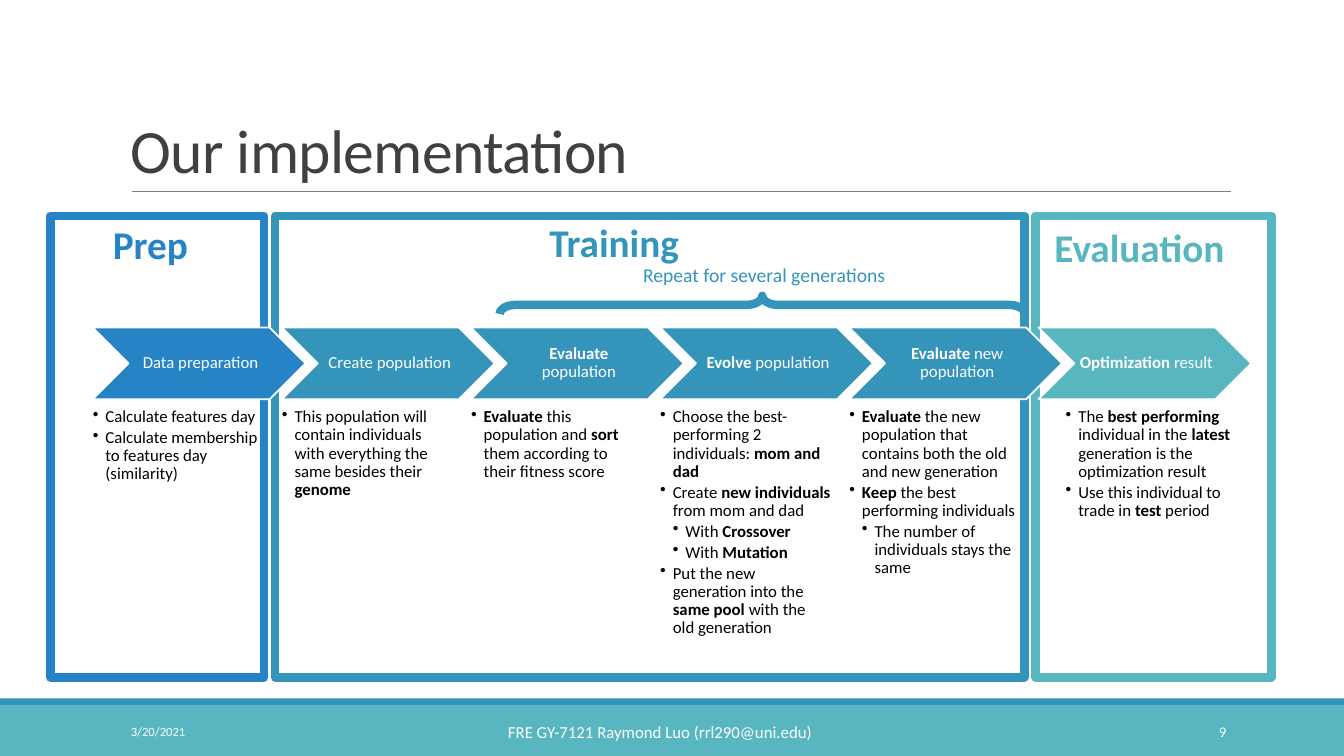
from lxml import etree
from pptx import Presentation
from pptx.dml.color import RGBColor
from pptx.enum.shapes import MSO_CONNECTOR, MSO_SHAPE
from pptx.enum.text import MSO_ANCHOR, MSO_AUTO_SIZE, PP_ALIGN
from pptx.oxml.ns import qn
from pptx.util import Inches, Pt

FONT = "Calibri"
BLUE, TEAL, AQUA = "2683C6", "3494BA", "58B6C0"
WHITE, BLACK, DARK, GRAY = "FFFFFF", "000000", "404040", "808080"

# Frame: left, width, color, heading, heading left, heading top, heading width
PHASES = [
    (0.5, 2.12, BLUE, "Prep", 1.02, 2.14, 0.95),
    (10.27, 2.34, AQUA, "Evaluation", 10.36, 2.17, 2.06),
    (2.73, 7.43, TEAL, "Training", 5.35, 2.12, 1.67),
]

# Step: color, label, bullets as (level, text); ** marks bold text
STEPS = [
    (BLUE, "Data preparation", [
        (1, "Calculate features day"),
        (1, "Calculate membership to features day (similarity)"),
    ]),
    (TEAL, "Create population", [
        (1, "This population will contain individuals with everything "
            "the same besides their **genome**"),
    ]),
    (TEAL, "**Evaluate** population", [
        (1, "**Evaluate** this population and **sort** them according "
            "to their fitness score"),
    ]),
    (TEAL, "**Evolve** population", [
        (1, "Choose the best-performing 2 individuals: **mom and dad**"),
        (1, "Create **new individuals** from mom and dad"),
        (2, "With **Crossover**"),
        (2, "With **Mutation**"),
        (1, "Put the new generation into the **same pool **with the old generation"),
    ]),
    (TEAL, "**Evaluate** new population", [
        (1, "**Evaluate** the new population that contains both the old "
            "and new generation"),
        (1, "**Keep** the best performing individuals"),
        (2, "The number of individuals stays the same"),
    ]),
    (AQUA, "**Optimization** result", [
        (1, "The **best performing **individual in the **latest** "
            "generation is the optimization result"),
        (1, "Use this individual to trade in **test** period"),
    ]),
]
STEP_LEFT, STEP_PITCH = 0.92, 1.876
LAST_DETAILS_LEFT = 10.57


def rgb(color):
    return RGBColor.from_string(color)


def add_shape(slide, kind, left, top, width, height, fill=None, line=None, line_width=1):
    shape = slide.shapes.add_shape(
        kind, Inches(left), Inches(top), Inches(width), Inches(height))
    shape.shadow.inherit = False
    if fill:
        shape.fill.solid()
        shape.fill.fore_color.rgb = rgb(fill)
    else:
        shape.fill.background()
    if line:
        shape.line.color.rgb = rgb(line)
        shape.line.width = Pt(line_width)
    else:
        shape.line.fill.background()
    return shape


def add_rule(slide, left, right, top):
    rule = slide.shapes.add_connector(
        MSO_CONNECTOR.STRAIGHT, Inches(left), Inches(top), Inches(right), Inches(top))
    rule.line.color.rgb = rgb(GRAY)
    rule.line.width = Pt(0.5)
    etree.SubElement(rule._element.spPr, qn("a:effectLst"))


def set_insets(frame, left, top, right, bottom):
    frame.margin_left, frame.margin_top = Inches(left), Inches(top)
    frame.margin_right, frame.margin_bottom = Inches(right), Inches(bottom)


def write(paragraph, text, size, color, bold=None, align=PP_ALIGN.LEFT, spacing=None):
    """Fill a paragraph; text between ** marks becomes bold."""
    paragraph.alignment = align
    paragraph.line_spacing = spacing
    font = paragraph.font
    font.name, font.size, font.bold = FONT, Pt(size), bold
    font.color.rgb = rgb(color)
    for index, part in enumerate(text.split("**")):
        if part:
            run = paragraph.add_run()
            run.text = part
            if index % 2:
                run.font.bold = True


def add_text(slide, text, left, top, width, height, size, color,
             anchor=MSO_ANCHOR.TOP, wrap=True, **style):
    """Add a one-paragraph text box; an unwrapped one fits its text."""
    box = slide.shapes.add_textbox(
        Inches(left), Inches(top), Inches(width), Inches(height))
    frame = box.text_frame
    frame.word_wrap = wrap
    frame.vertical_anchor = anchor
    if not wrap:
        frame.auto_size = MSO_AUTO_SIZE.SHAPE_TO_FIT_TEXT
    write(frame.paragraphs[0], text, size, color, **style)
    return box


def set_bullet(paragraph, level):
    properties = paragraph._p.get_or_add_pPr()
    properties.set("marL", str(Inches(0.125 * level)))
    properties.set("indent", str(-Inches(0.125)))
    bullet = etree.Element(qn("a:buChar"), char="•")
    properties.find(qn("a:defRPr")).addprevious(bullet)


def add_details(slide, bullets, left):
    box = slide.shapes.add_textbox(
        Inches(left), Inches(4.05), Inches(1.69), Inches(2.51))
    frame = box.text_frame
    frame.word_wrap = True
    set_insets(frame, 0, 0, 0, 0)
    for index, (level, text) in enumerate(bullets):
        paragraph = frame.add_paragraph() if index else frame.paragraphs[0]
        write(paragraph, text, 12, BLACK, spacing=0.9)
        paragraph.space_after = Pt(2)
        set_bullet(paragraph, level)


def add_step(slide, color, label, left):
    chevron = add_shape(slide, MSO_SHAPE.CHEVRON, left, 3.25, 2.11, 0.71,
                        color, WHITE, 1.25)
    frame = chevron.text_frame
    frame.word_wrap = True
    frame.vertical_anchor = MSO_ANCHOR.MIDDLE
    set_insets(frame, 0.05, 0.02, 0.02, 0.02)
    write(frame.paragraphs[0], label, 12, WHITE, align=PP_ALIGN.CENTER, spacing=0.9)


def add_title(slide):
    title = add_text(slide, "Our implementation", 1.2, 0.31, 11, 1.59, 44, DARK,
                     anchor=MSO_ANCHOR.BOTTOM, spacing=0.85)
    run = title.text_frame.paragraphs[0].runs[0]
    run.font._element.set("spc", "-50")


def add_repeat_brace(slide):
    brace = add_shape(slide, MSO_SHAPE.LEFT_BRACE, 7.47, 0.42, 0.18, 5.21,
                      line=TEAL, line_width=6)
    brace.adjustments[0] = 0.869
    brace.rotation = 90
    add_text(slide, "Repeat for several generations", 6.28, 2.56, 2.63, 0.34,
             14, TEAL, wrap=False)


def add_footer(slide):
    add_text(slide, "3/20/2021", 1.2, 7.06, 2.7, 0.4, 9, WHITE,
             anchor=MSO_ANCHOR.MIDDLE)
    add_text(slide, "9", 10.83, 7.06, 1.43, 0.4, 10.5, WHITE,
             anchor=MSO_ANCHOR.MIDDLE, align=PP_ALIGN.RIGHT)
    add_text(slide, "FRE GY-7121 Raymond Luo (rrl290@uni.edu)", 4.94, 7.11, 3.33, 0.3,
             12, WHITE, wrap=False)


def main():
    presentation = Presentation()
    presentation.slide_width, presentation.slide_height = Inches(13.33), Inches(7.5)
    slide = presentation.slides.add_slide(presentation.slide_layouts[6])

    add_shape(slide, MSO_SHAPE.RECTANGLE, 0, 7, 13.33, 0.5, AQUA)
    add_shape(slide, MSO_SHAPE.RECTANGLE, 0, 6.93, 13.33, 0.07, TEAL)
    add_rule(slide, 1.31, 12.21, 1.9)
    for left, width, color, *_ in PHASES:
        add_shape(slide, MSO_SHAPE.RECTANGLE, left, 2.14, width, 4.58,
                  line=color, line_width=6)
    add_title(slide)
    for index, (color, label, bullets) in enumerate(STEPS):
        left = STEP_LEFT + index * STEP_PITCH
        add_step(slide, color, label, left)
        is_last = index == len(STEPS) - 1
        add_details(slide, bullets, LAST_DETAILS_LEFT if is_last else left)
    for _, _, color, heading, left, top, width in PHASES:
        add_text(slide, heading, left, top, width, 0.57, 28, color,
                 wrap=False, bold=True)
    add_repeat_brace(slide)
    add_footer(slide)
    presentation.save("out.pptx")


if __name__ == "__main__":
    main()
